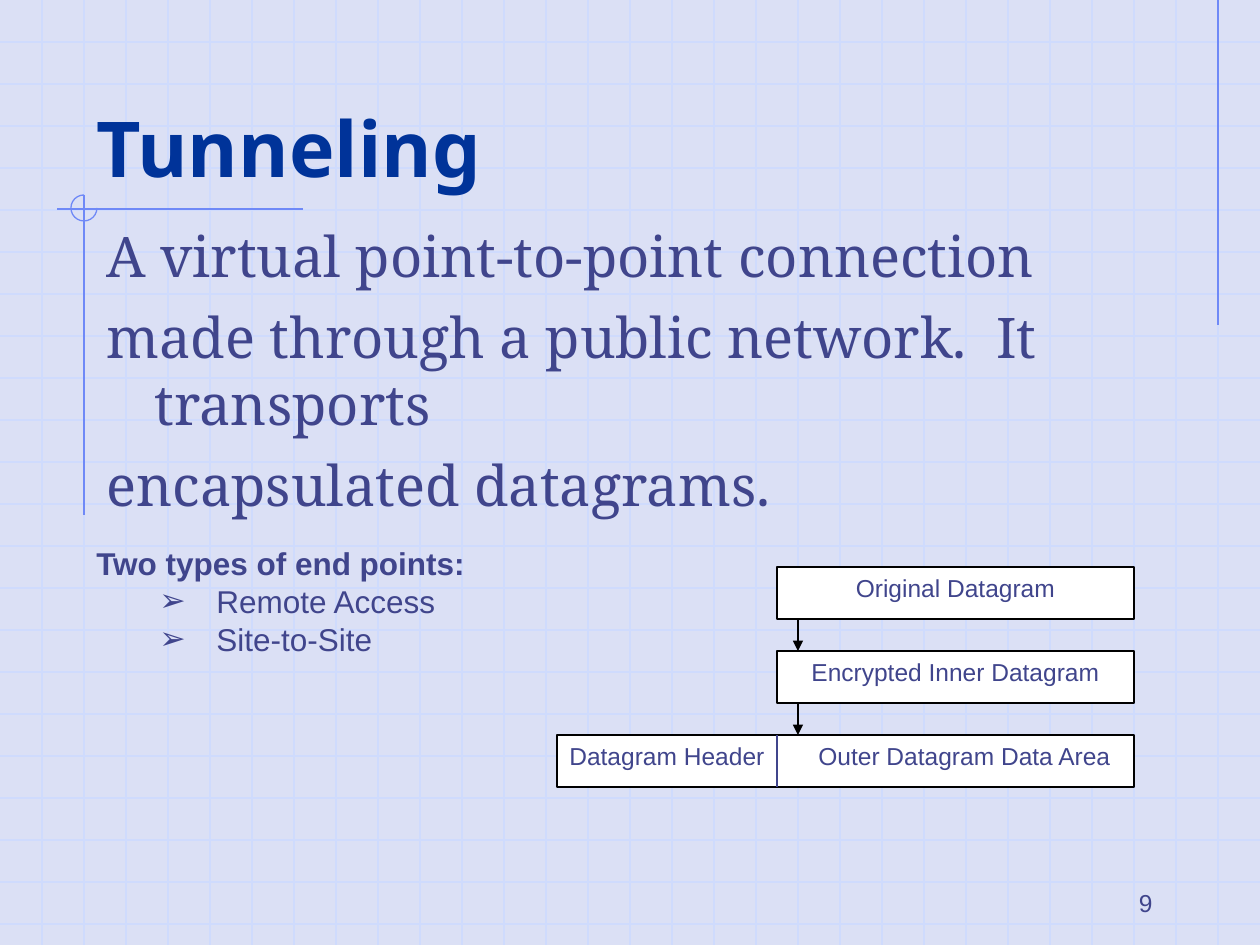
from lxml.etree import SubElement
from pptx import Presentation
from pptx.dml.color import RGBColor
from pptx.enum.shapes import MSO_CONNECTOR, MSO_SHAPE
from pptx.enum.text import MSO_ANCHOR as Anchor, MSO_AUTO_SIZE, PP_ALIGN as Align
from pptx.oxml.ns import qn
from pptx.util import Inches, Pt

PX = Inches(1) / 126
WIDTH, HEIGHT = 1260, 945
GRID_STEP = 42
GRID, ACCENT, TEXT, BLACK = "CFDBFD", "6F89F7", "40458C", "000000"

presentation = Presentation()
presentation.slide_width = round(WIDTH * PX)
presentation.slide_height = round(HEIGHT * PX)
slide = presentation.slides.add_slide(presentation.slide_layouts[5])
shapes = slide.shapes
color = RGBColor.from_string
slide.background.fill.solid()
slide.background.fill.fore_color.rgb = color("DBE0F5")


def add_line(x1, y1, x2, y2, line_color):
    ends = [round(value * PX) for value in (x1, y1, x2, y2)]
    line = shapes.add_connector(MSO_CONNECTOR.STRAIGHT, *ends)
    line.line.color.rgb = color(line_color)
    line.line.width = Pt(0.75)
    SubElement(line._element.spPr, qn("a:effectLst"))
    return line


def add_run(paragraph, text, size, font="Arial", font_color=TEXT, bold=False):
    run = paragraph.add_run()
    run.text = text
    run.font.name = font
    run.font.size = Pt(size)
    run.font.bold = bold
    run.font.color.rgb = color(font_color)


# Background grid and ornament
for y in range(GRID_STEP, HEIGHT, GRID_STEP):
    add_line(0, y, WIDTH, y, GRID)
for x in range(GRID_STEP, WIDTH - GRID_STEP + 1, GRID_STEP):
    add_line(x, 0, x, HEIGHT, GRID)
add_line(1218, 0, 1218, 325, ACCENT)
add_line(303, 209, 57, 209, ACCENT)
add_line(84, 195, 84, 515, ACCENT)

arc = shapes.add_shape(MSO_SHAPE.ARC, *[round(v * PX) for v in (71, 195, 26, 26)])
arc.adjustments[0], arc.adjustments[1] = 0, 162
arc.shadow.inherit = False
arc.fill.background()
arc.line.color.rgb = color(ACCENT)
arc.line.width = Pt(0.75)

# Title, brought in front of the grid
title = shapes.title
shapes._spTree.append(title._element)
title.left, title.top, title.width, title.height = [
    round(v * PX) for v in (84, 42, 1071, 157)]
title.text_frame.auto_size = MSO_AUTO_SIZE.NONE
title.text_frame.vertical_anchor = Anchor.BOTTOM
title.text_frame.paragraphs[0].alignment = Align.LEFT
add_run(title.text_frame.paragraphs[0], "Tunneling", 44, "Noto Sans", "003399", True)

# Definition
definition = shapes.add_textbox(*[round(v * PX) for v in (94, 215, 1103, 616)])
frame = definition.text_frame
frame.word_wrap = True
for index, text in enumerate(["A virtual point-to-point connection",
                              "made through a public network.  It transports",
                              "encapsulated datagrams."]):
    paragraph = frame.paragraphs[0] if index == 0 else frame.add_paragraph()
    properties = paragraph._p.get_or_add_pPr()
    properties.set("marL", str(round(48 * PX)))
    properties.set("indent", str(round(-48 * PX)))
    if index:
        paragraph.space_before = Pt(8)
    add_run(paragraph, text, 32, "Noto Serif")

# Datagram boxes
HEADER_TAB = 249
for left, top, width, text, alignment in [
        (777, 567, 357, "Original Datagram", Align.CENTER),
        (777, 651, 357, "Encrypted Inner Datagram", Align.CENTER),
        (557, 735, 577, "Datagram Header\tOuter Datagram Data Area", Align.LEFT)]:
    box = shapes.add_shape(MSO_SHAPE.RECTANGLE,
                           *[round(v * PX) for v in (left, top, width, 52)])
    box.shadow.inherit = False
    box.fill.solid()
    box.fill.fore_color.rgb = color("FFFFFF")
    box.line.color.rgb = color(BLACK)
    box.line.width = Pt(0.75)
    box.text_frame.vertical_anchor = Anchor.TOP
    paragraph = box.text_frame.paragraphs[0]
    paragraph.alignment = alignment
    if "\t" in text:
        tabs = SubElement(paragraph._p.get_or_add_pPr(), qn("a:tabLst"))
        SubElement(tabs, qn("a:tab"), pos=str(round(HEADER_TAB * PX)), algn="l")
    add_run(paragraph, text, 14)
add_line(777, 735, 777, 787, TEXT)
for y in (619, 703):
    arrow = add_line(798, y, 798, y + 32, BLACK)
    SubElement(arrow.line._get_or_add_ln(), qn("a:tailEnd"), type="triangle")

# End points
end_points = shapes.add_textbox(*[round(v * PX) for v in (84, 544, 600, 114)])
frame = end_points.text_frame
frame.word_wrap = True
frame.margin_top = frame.margin_bottom = 0
add_run(frame.paragraphs[0], "Two types of end points:", 18, bold=True)
for text in ("Remote Access", "Site-to-Site"):
    paragraph = frame.add_paragraph()
    paragraph.level = 1
    properties = paragraph._p.get_or_add_pPr()
    properties.set("marL", str(round(120 * PX)))
    properties.set("indent", str(round(-57 * PX)))
    bullet_color = SubElement(properties, qn("a:buClr"))
    SubElement(bullet_color, qn("a:srgbClr"), val=TEXT)
    SubElement(properties, qn("a:buFont"), typeface="Arial")
    SubElement(properties, qn("a:buChar"), char="➢")
    add_run(paragraph, text, 18)

# Page number
page_number = shapes.add_textbox(*[round(v * PX) for v in (903, 861, 262, 63)])
page_number.text_frame.word_wrap = True
page_number.text_frame.vertical_anchor = Anchor.BOTTOM
page_number.text_frame.paragraphs[0].alignment = Align.RIGHT
add_run(page_number.text_frame.paragraphs[0], "9", 14)

presentation.save("out.pptx")
